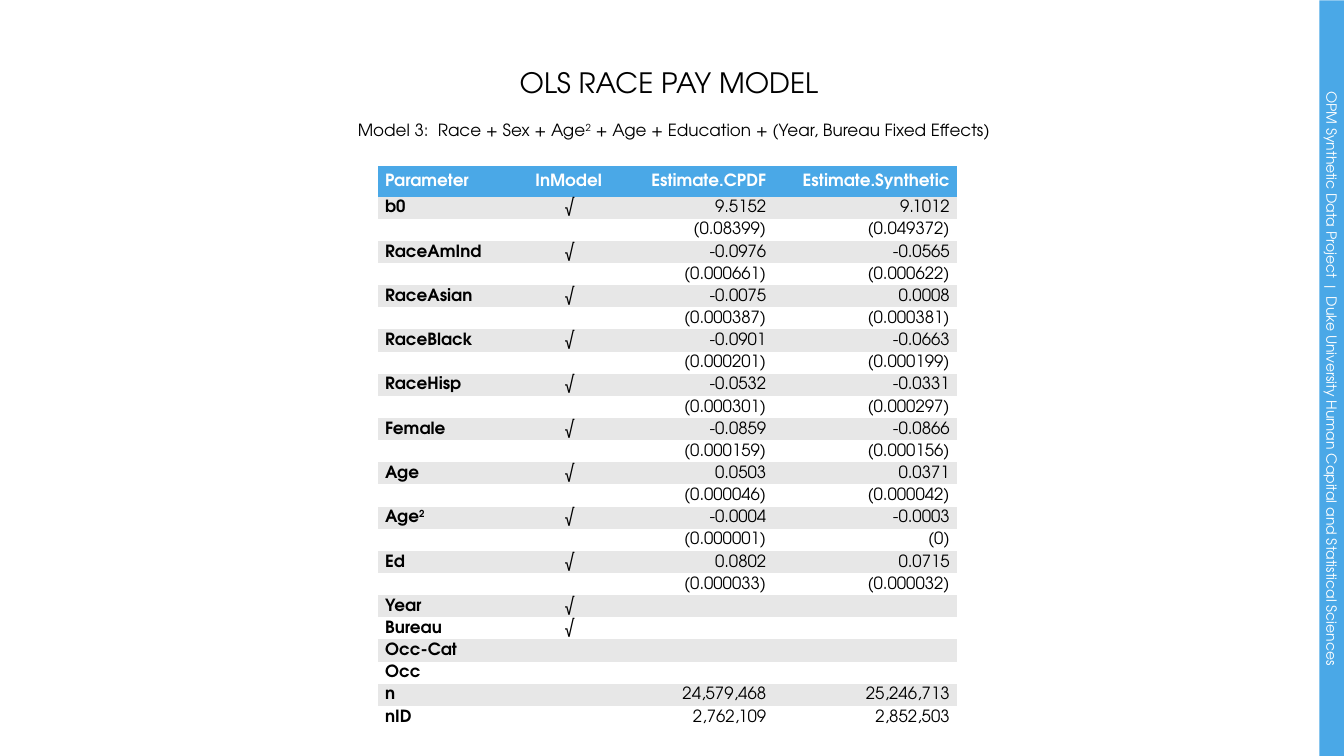
from pptx import Presentation, util as u
from pptx.dml.color import RGBColor
from pptx.enum import shapes, text

COLORS = {"blue": "4AA8E7", "band": "E7E7E7", "white": "FFFFFF", "black": "000000"}
FONT = "TeX Gyre Adventor"
LEFT, CENTER, RIGHT = text.PP_ALIGN.LEFT, text.PP_ALIGN.CENTER, text.PP_ALIGN.RIGHT
NO_TABLE_STYLE = "{2D5ABB26-0587-4C30-8999-92F81FD0307C}"

deck = Presentation()
deck.slide_width, deck.slide_height = u.Inches(13.33), u.Inches(7.5)
slide = deck.slides.add_slide(deck.slide_layouts[6])


def write(paragraph, words, size, color="black", align=CENTER, bold=False):
    """Fill a paragraph; every second part between ^ marks is superscript."""
    paragraph.alignment = align
    font = paragraph.font
    font.name, font.size, font.bold = FONT, u.Pt(size), bold
    font.color.rgb = RGBColor.from_string(COLORS[color])
    for i, part in enumerate(words.split("^")):
        if part:
            run = paragraph.add_run()
            run.text = part
            if i % 2:
                run.font._element.set("baseline", "30000")


def paint(fill, color):
    fill.solid()
    fill.fore_color.rgb = RGBColor.from_string(COLORS[color])


# Headings
headings = [
    ("OLS RACE PAY MODEL", 20, (0.4, 0.49, 12.47, 0.54), text.MSO_ANCHOR.BOTTOM),
    ("Model 3:  Race + Sex + Age^2^ + Age + Education + (Year, Bureau Fixed Effects)",
     12, (3.2, 1.14, 6.97, 0.4), text.MSO_ANCHOR.TOP),
]
for words, size, place, anchor in headings:
    frame = slide.shapes.add_textbox(*map(u.Inches, place)).text_frame
    frame.word_wrap = True
    frame.vertical_anchor = anchor
    write(frame.paragraphs[0], words, size)

# Estimates, each with its standard error on the row below
estimates = [
    ("b0", "9.5152", "9.1012", "0.08399", "0.049372"),
    ("RaceAmInd", "-0.0976", "-0.0565", "0.000661", "0.000622"),
    ("RaceAsian", "-0.0075", "0.0008", "0.000387", "0.000381"),
    ("RaceBlack", "-0.0901", "-0.0663", "0.000201", "0.000199"),
    ("RaceHisp", "-0.0532", "-0.0331", "0.000301", "0.000297"),
    ("Female", "-0.0859", "-0.0866", "0.000159", "0.000156"),
    ("Age", "0.0503", "0.0371", "0.000046", "0.000042"),
    ("Age^2^", "-0.0004", "-0.0003", "0.000001", "0"),
    ("Ed", "0.0802", "0.0715", "0.000033", "0.000032"),
]
rows = [("Parameter", "InModel", "Estimate.CPDF", "Estimate.Synthetic")]
for name, cpdf, synthetic, cpdf_error, synthetic_error in estimates:
    rows.append((name, "√", cpdf, synthetic))
    rows.append(("", "", f"({cpdf_error})", f"({synthetic_error})"))
rows += [
    ("Year", "√", "", ""),
    ("Bureau", "√", "", ""),
    ("Occ-Cat", "", "", ""),
    ("Occ", "", "", ""),
    ("n", "", "24,579,468", "25,246,713"),
    ("nID", "", "2,762,109", "2,852,503"),
]

column_widths = [1.37, 1.04, 1.51, 1.82]
column_aligns = [LEFT, CENTER, RIGHT, RIGHT]
header_height, row_height = 0.3, 0.22
model = slide.shapes.add_table(
    len(rows), len(column_widths), u.Inches(3.75), u.Inches(1.65),
    u.Inches(sum(column_widths)),
    u.Inches(header_height + row_height * (len(rows) - 1))).table
model._tbl.tblPr[0].text = NO_TABLE_STYLE
for column, width in zip(model.columns, column_widths):
    column.width = u.Inches(width)

for r, row in enumerate(rows):
    header = r == 0
    model.rows[r].height = u.Inches(header_height if header else row_height)
    band = "blue" if header else "band" if r % 2 else "white"
    for c, words in enumerate(row):
        cell = model.cell(r, c)
        paint(cell.fill, band)
        cell.vertical_anchor = text.MSO_ANCHOR.MIDDLE
        cell.margin_left = cell.margin_right = u.Inches(0.07)
        cell.margin_top = cell.margin_bottom = 0
        paragraph = cell.text_frame.paragraphs[0]
        paragraph.line_spacing = 1.07
        write(paragraph, words, 12, "white" if header else "black",
              column_aligns[c], header or c == 0)
        if not words:
            # An empty cell takes its line height from the end mark
            paragraph._p.get_or_add_endParaRPr().set("sz", "1200")

# Project banner, turned to run down the right edge
banner_length, banner_depth = 7.5, 0.25
banner = slide.shapes.add_shape(
    shapes.MSO_SHAPE.RECTANGLE, u.Inches(9.46), u.Inches(3.63),
    u.Inches(banner_length), u.Inches(banner_depth))
banner.rotation = 90
banner.shadow.inherit = False
paint(banner.fill, "blue")
banner.line.fill.background()
banner.text_frame.vertical_anchor = text.MSO_ANCHOR.MIDDLE
write(banner.text_frame.paragraphs[0],
      "OPM Synthetic Data Project  |  Duke University Human Capital and Statistical Sciences",
      10, "white")

deck.save("out.pptx")
